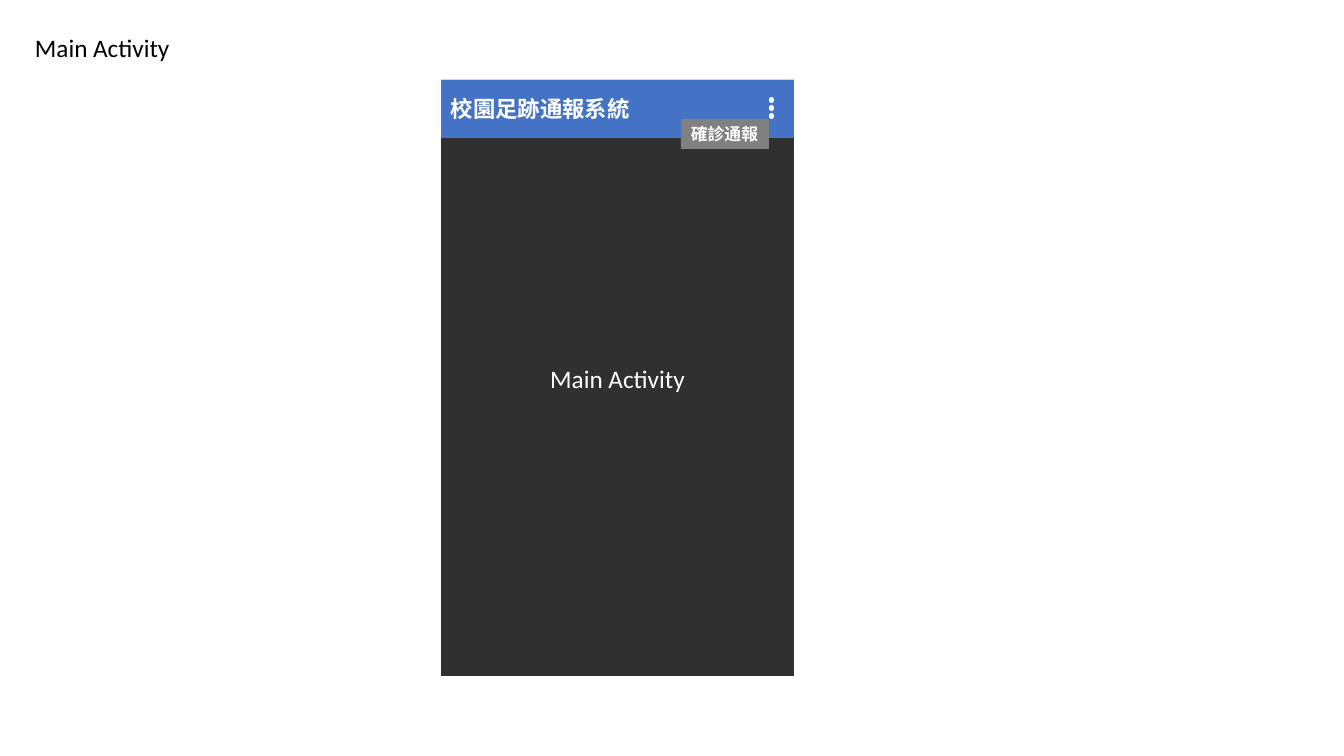
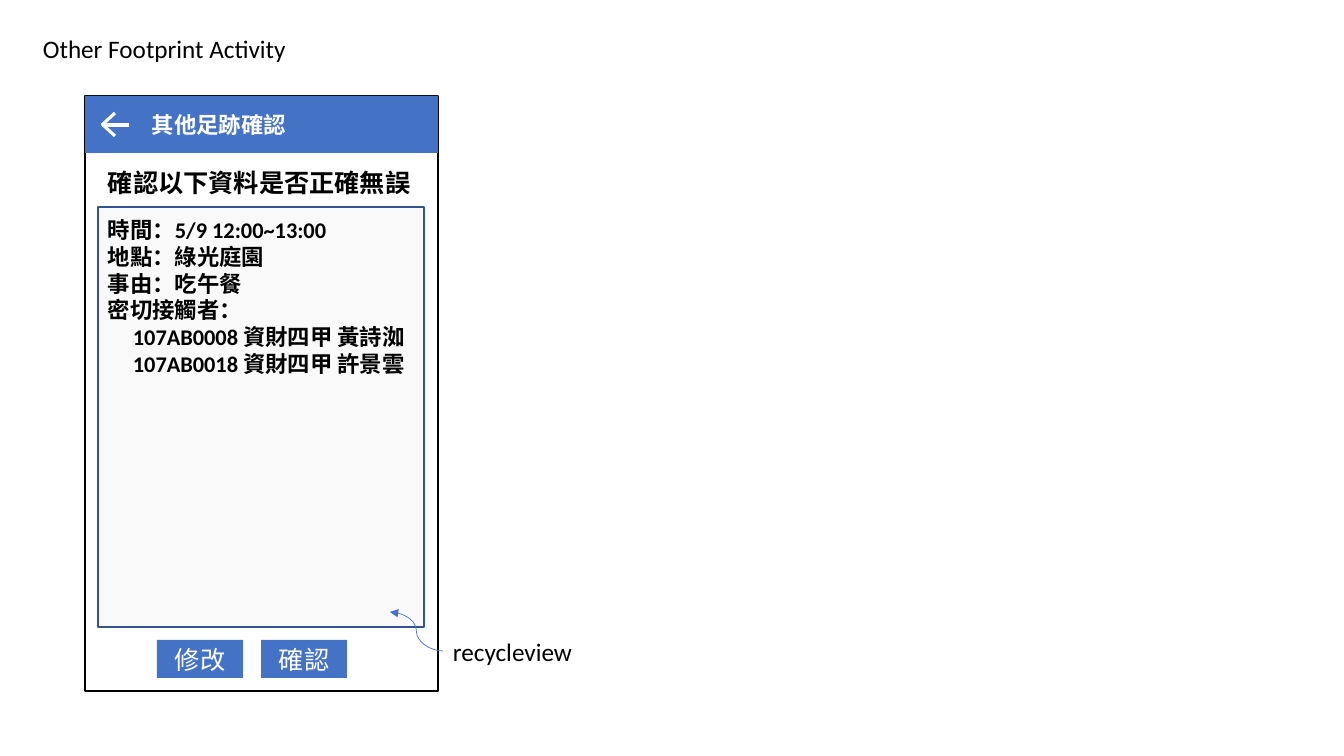
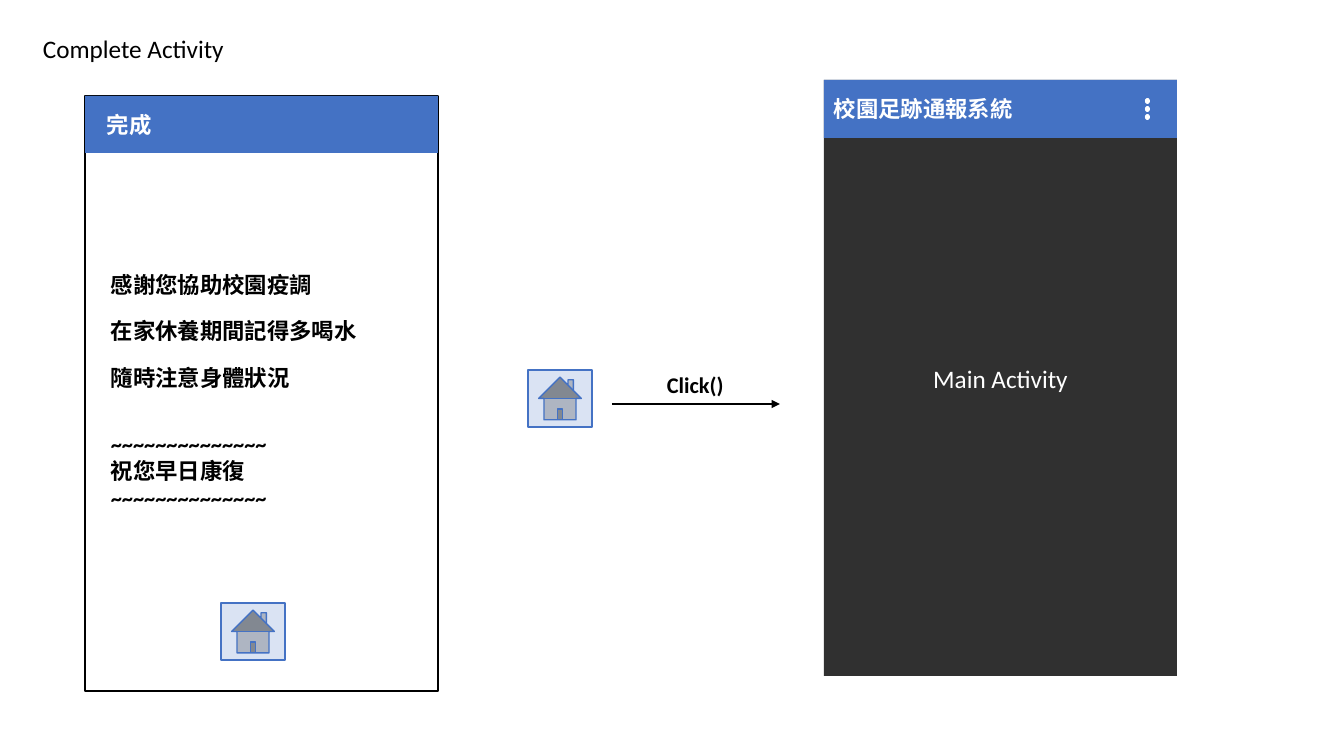
"""Builds three wireframe slides of a campus footprint reporting app."""
from pptx import Presentation
from pptx.dml.color import RGBColor as Rgb
from pptx.enum.shapes import MSO_CONNECTOR as Wire, MSO_SHAPE as Kind
from pptx.enum.text import MSO_ANCHOR as Anchor, PP_ALIGN as Align
from pptx.oxml.ns import qn
from pptx.util import Pt
from lxml.etree import SubElement as Sub

PX = 914400 / 100.8
FONT = "Calibri"
HUES = {"blue": "4472C4", "navy": "325491", "pale": "DAE3F3", "dark": "303030",
        "grey": "808080", "mist": "F9F9F9", "white": "FFFFFF", "black": "000000"}


def box(page, kind, spot, fill=None, line=None):
    spot = [round(n * PX) for n in spot]
    if kind is None:
        return page.shapes.add_textbox(*spot)
    shape = page.shapes.add_shape(kind, *spot)
    shape.shadow.inherit = False
    shape.fill.solid()
    shape.fill.fore_color.rgb = Rgb.from_string(HUES[fill])
    if line:
        shape.line.color.rgb = Rgb.from_string(HUES[line])
        shape.line.width = Pt(1)
    else:
        shape.line.fill.background()
    return shape


def write(shape, lines, size=18, hue="black", bold=False, mid=False, wrap=False):
    frame = shape.text_frame
    frame.word_wrap = wrap or mid
    frame.vertical_anchor = Anchor.MIDDLE if mid else Anchor.TOP
    for i, (text, dent, gap) in enumerate(lines):
        para = frame.add_paragraph() if i else frame.paragraphs[0]
        para.alignment = Align.CENTER if mid else Align.LEFT
        if dent:
            para._p.get_or_add_pPr().set("indent", str(round(dent * PX)))
        if gap:
            para.space_after = Pt(gap)
        run = para.add_run()
        run.text = text
        font = run.font
        font.name, font.size, font.bold = FONT, Pt(size), bold
        font.color.rgb = Rgb.from_string(HUES[hue])


deck = Presentation()
deck.slide_width, deck.slide_height = round(1344 * PX), round(756 * PX)
home, check, done = [deck.slides.add_slide(deck.slide_layouts[6]) for _ in range(3)]

for page, title, x, y, wide in [(home, "Main Activity", 25, 27, 156),
                                (check, "Other Footprint Activity", 33, 28, 266),
                                (done, "Complete Activity", 33, 28, 204)]:
    write(box(page, None, (x, y, wide, 40)), [(title, 0, 0)])

for page, x, dotx, doty in [(home, 441, 769, 97), (done, 824, 1145, 98)]:
    body = box(page, Kind.RECTANGLE, (x, 80, 353, 596), "dark")
    write(body, [("Main Activity", 0, 0)], hue="white", mid=True)
    box(page, Kind.RECTANGLE, (x, 80, 353, 58), "blue")
    name = box(page, None, (x, 90, 202, 37))
    write(name, [("校園足跡通報系統", 0, 0)], 16, "white", True)
    dots = page.shapes.add_group_shape()
    for row in range(3):
        box(dots, Kind.OVAL, (dotx, doty + 8 * row, 5, 6), "white")

menu = box(home, Kind.RECTANGLE, (681, 119, 88, 30), "grey")
write(menu, [("確診通報", 0, 0)], 12, "white", True)

for page, head, x, wide in [(check, "其他足跡確認", 142, 156), (done, "完成", 97, 66)]:
    box(page, Kind.RECTANGLE, (85, 96, 353, 595), "white", "black")
    box(page, Kind.RECTANGLE, (85, 96, 353, 57), "blue")
    write(box(page, None, (x, 106, wide, 37)), [(head, 0, 0)], 16, "white", True)

box(check, Kind.RECTANGLE, (98, 207, 326, 420), "mist", "navy")
write(box(check, None, (98, 162, 326, 40)), [("確認以下資料是否正確無誤", 0, 0)], bold=True)
facts = [("時間：5/9 12:00~13:00", 0, 0), ("地點：綠光庭園", 0, 0),
         ("事由：吃午餐", 0, 0), ("密切接觸者：", 0, 0),
         ("107AB0008 資財四甲 黃詩洳", 25, 0), ("107AB0018 資財四甲 許景雲", 25, 0)]
write(box(check, None, (98, 211, 321, 173)), facts, 16, bold=True, wrap=True)
for x, text in [(157, "修改"), (261, "確認")]:
    key = box(check, Kind.RECTANGLE, (x, 640, 86, 38), "blue")
    write(key, [(text, 0, 0)], hue="white", mid=True)
write(box(check, None, (443, 631, 141, 40)), [("recycleview", 0, 0)])

thanks = [("感謝您協助校園疫調", 0, 14), ("在家休養期間記得多喝水", 0, 14),
          ("隨時注意身體狀況", 0, 28), ("~" * 14, 0, 0),
          ("祝您早日康復", 0, 0), ("~" * 14, 0, 0)]
write(box(done, None, (101, 266, 269, 252)), thanks, 16, bold=True)
for x, y in [(221, 603), (528, 370)]:
    box(done, Kind.ACTION_BUTTON_HOME, (x, y, 64, 57), "pale", "blue")
write(box(done, None, (657, 366, 78, 37)), [("Click()", 0, 0)], 16, bold=True)

back = check.shapes.add_group_shape()
for page, kind, ends, hue, thick, tip in [
        (back, Wire.STRAIGHT, (102, 125, 129, 125), "white", 2.25, False),
        (back, Wire.STRAIGHT, (102, 125, 115, 113), "white", 2.25, False),
        (back, Wire.STRAIGHT, (102, 124, 115, 136), "white", 2.25, False),
        (check, Wire.CURVE, (443, 651, 390, 612), "blue", 0.5, True),
        (done, Wire.STRAIGHT, (612, 404, 780, 404), "black", 1.5, True)]:
    wire = page.shapes.add_connector(kind, *[round(n * PX) for n in ends])
    wire.line.color.rgb = Rgb.from_string(HUES[hue])
    wire.line.width = Pt(thick)
    if tip:
        Sub(wire.line._get_or_add_ln(), qn("a:tailEnd"), type="triangle")
    Sub(wire._element.spPr, qn("a:effectLst"))

deck.save("out.pptx")
